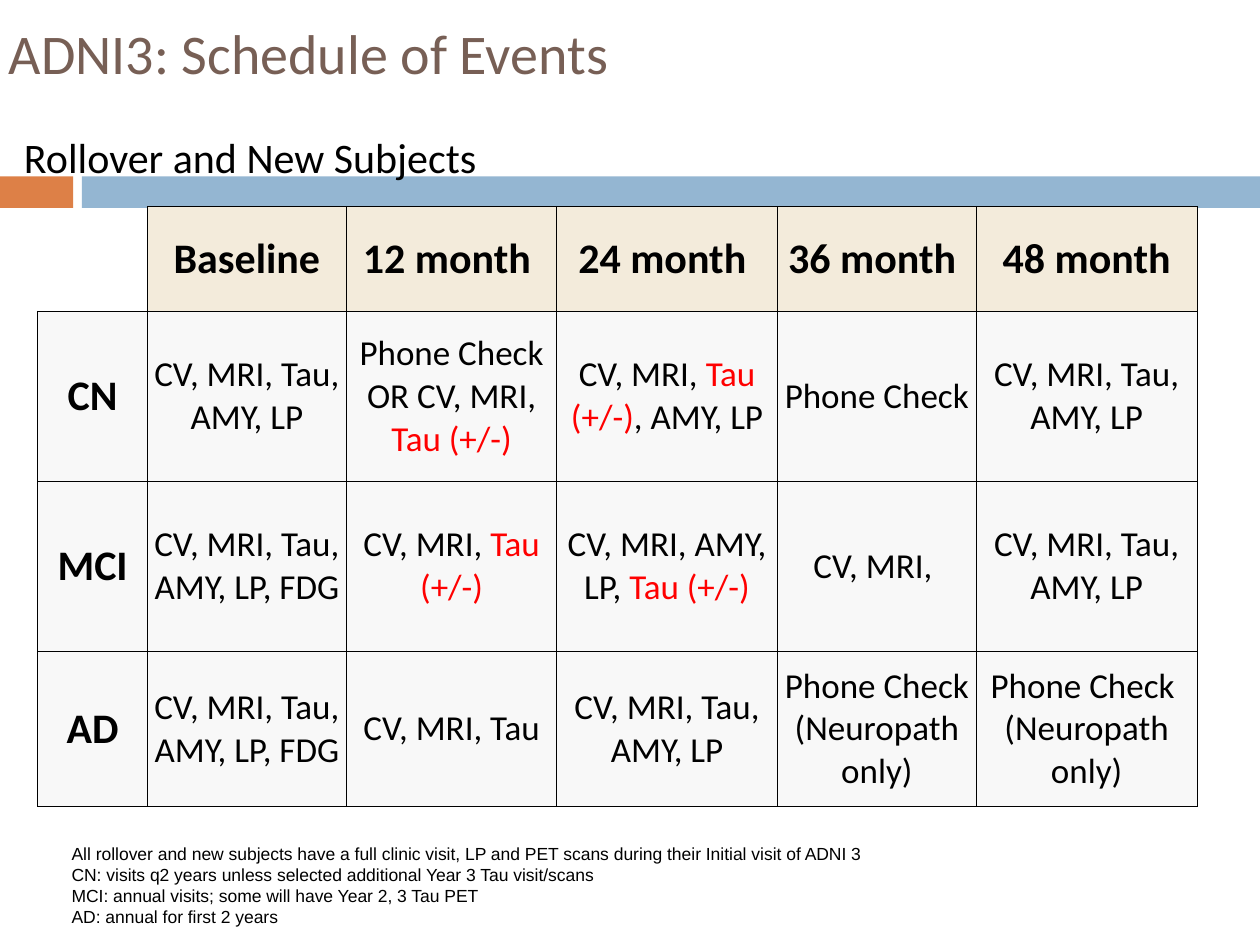
"""Build the ADNI3 schedule of events slide."""
from dataclasses import dataclass
from typing import Any

from lxml.etree import SubElement
from pptx import Presentation
from pptx.dml.color import RGBColor
from pptx.enum.shapes import MSO_SHAPE as Preset
from pptx.enum.text import MSO_ANCHOR as Anchor
from pptx.enum.text import MSO_AUTO_SIZE as AutoSize
from pptx.enum.text import PP_ALIGN as Align
from pptx.oxml.ns import qn
from pptx.util import Inches, Pt

BLACK = RGBColor(0x00, 0x00, 0x00)
RED = RGBColor(0xFF, 0x00, 0x00)
BROWN = RGBColor(0x77, 0x5F, 0x55)
ORANGE = RGBColor(0xDD, 0x80, 0x47)
BLUE = RGBColor(0x94, 0xB6, 0xD2)
CREAM = RGBColor(0xF3, 0xEB, 0xDB)
PALE = RGBColor(0xF8, 0xF8, 0xF8)

TITLE = {"name": "Calibri", "size": Pt(32)}
SUBTITLE = {"name": "Calibri", "size": Pt(24)}
HEADING = {"name": "Calibri", "size": Pt(24), "bold": True}
ENTRY = {"name": "Calibri", "size": Pt(20), "bold": False}
NOTE = {"name": "Arial", "size": Pt(10)}

TAU = "Tau (+/-)"
COLUMN_WIDTHS = (0.87, 1.58, 1.67, 1.75, 1.58, 1.75)
ROW_HEIGHTS = (0.83, 1.35, 1.35, 1.23)
SCHEDULE = (
    ("", "Baseline", "12 month ", "24 month ", "36 month ", "48 month"),
    ("CN", "CV, MRI, Tau, AMY, LP", f"Phone Check\nOR CV, MRI, {TAU}",
     f"CV, MRI, {TAU}, AMY, LP", "Phone Check", "CV, MRI, Tau, AMY, LP"),
    ("MCI", "CV, MRI, Tau, AMY, LP, FDG", f"CV, MRI, {TAU}",
     f"CV, MRI, AMY, LP, {TAU}", "CV, MRI, ", "CV, MRI, Tau, AMY, LP"),
    ("AD", "CV, MRI, Tau, AMY, LP, FDG", "CV, MRI, Tau", "CV, MRI, Tau, AMY, LP",
     "Phone Check \n(Neuropath only)", "Phone Check \n(Neuropath only)"),
)
NOTES = (
    "All rollover and new subjects have a full clinic visit, LP and PET scans"
    " during their Initial visit of ADNI 3\n"
    "CN: visits q2 years unless selected additional Year 3 Tau visit/scans\n"
    "MCI: annual visits; some will have Year 2, 3 Tau PET\n"
    "AD: annual for first 2 years"
)


@dataclass
class Bar:
    left: float
    width: float
    color: RGBColor


BARS = (Bar(0, 0.58, ORANGE), Bar(0.65, 9.35, BLUE))


def apply_format(target: Any, values: dict) -> None:
    for name, value in values.items():
        setattr(target, name, value)


def place(box: Any, left: float, top: float, width: float, height: float) -> None:
    apply_format(box, {"left": Inches(left), "top": Inches(top),
                       "width": Inches(width), "height": Inches(height)})


def add_span(para: Any, text: str, style: dict, color: RGBColor) -> None:
    span = para.add_run()
    span.text = text
    apply_format(span.font, style)
    span.font.color.rgb = color


def write(frame: Any, text: str, style: dict, color: RGBColor = BLACK,
          align: Align = Align.LEFT) -> None:
    for index, line in enumerate(text.split("\n")):
        para = frame.add_paragraph() if index else frame.paragraphs[0]
        para.alignment = align
        for order, part in enumerate(line.split(TAU)):
            if order:
                add_span(para, TAU, style, RED)
            if part:
                add_span(para, part, style, color)


def add_bar(page: Any, bar: Bar) -> None:
    shape = page.shapes.add_shape(Preset.RECTANGLE, Inches(bar.left), Inches(1.4),
                                  Inches(bar.width), Inches(0.25))
    shape.shadow.inherit = False
    shape.fill.solid()
    shape.fill.fore_color.rgb = bar.color
    shape.line.fill.background()
    page.shapes.title.element.addprevious(shape.element)


def add_borders(cell: Any, hidden: str) -> None:
    properties = cell._tc.get_or_add_tcPr()
    for side in "LRTB":
        line = SubElement(properties, qn(f"a:ln{side}"), w=str(Pt(0.45)))
        if side in hidden:
            SubElement(line, qn("a:noFill"))
        else:
            fill = SubElement(line, qn("a:solidFill"))
            SubElement(fill, qn("a:srgbClr"), val=str(BLACK))


def fill_cell(cell: Any, text: str, row: int, column: int) -> None:
    corner = row == column == 0
    add_borders(cell, "LT" if corner else "")
    if corner:
        cell.fill.background()
        return
    cell.fill.solid()
    cell.fill.fore_color.rgb = PALE if row else CREAM
    margin = Inches(0.05)
    apply_format(cell, {"vertical_anchor": Anchor.MIDDLE, "margin_left": margin,
                        "margin_right": margin, "margin_top": margin,
                        "margin_bottom": margin})
    write(cell.text_frame, text, ENTRY if row and column else HEADING, align=Align.CENTER)


def add_schedule(page: Any) -> None:
    table = page.shapes.add_table(
        len(ROW_HEIGHTS), len(COLUMN_WIDTHS), Inches(0.3), Inches(1.64),
        Inches(sum(COLUMN_WIDTHS)), Inches(sum(ROW_HEIGHTS))).table
    apply_format(table, {"first_row": False, "horz_banding": False})
    for column, width in zip(table.columns, COLUMN_WIDTHS):
        column.width = Inches(width)
    for row, height in zip(table.rows, ROW_HEIGHTS):
        row.height = Inches(height)
    for row, texts in enumerate(SCHEDULE):
        for column, text in enumerate(texts):
            fill_cell(table.cell(row, column), text, row, column)


def add_subtitle(body: Any) -> None:
    place(body, 0.09, 0.58, 9.75, 4.5)
    frame = body.text_frame
    apply_format(frame, {"vertical_anchor": Anchor.TOP, "margin_top": Inches(0.46)})
    para = frame.paragraphs[0]
    properties = para._p.get_or_add_pPr()
    properties.set("marL", "0")
    properties.set("indent", "0")
    SubElement(properties, qn("a:buNone"))
    para.space_before = Pt(0)
    write(frame, "Rollover and New Subjects", SUBTITLE)


def add_notes(page: Any) -> None:
    box = page.shapes.add_textbox(Inches(0.47), Inches(6.64), Inches(7.86), Inches(0.77))
    apply_format(box.text_frame, {"word_wrap": True, "auto_size": AutoSize.SHAPE_TO_FIT_TEXT})
    write(box.text_frame, NOTES, NOTE)


def main() -> None:
    deck = Presentation()
    apply_format(deck, {"slide_width": Inches(10), "slide_height": Inches(7.5)})
    page = deck.slides.add_slide(deck.slide_layouts[1])
    title = page.shapes.title
    place(title, -0.03, -0.21, 10, 1.25)
    title.text_frame.vertical_anchor = Anchor.MIDDLE
    write(title.text_frame, "ADNI3: Schedule of Events", TITLE, BROWN)
    for bar in BARS:
        add_bar(page, bar)
    add_subtitle(page.placeholders[1])
    add_schedule(page)
    add_notes(page)
    deck.save("out.pptx")


if __name__ == "__main__":
    main()
